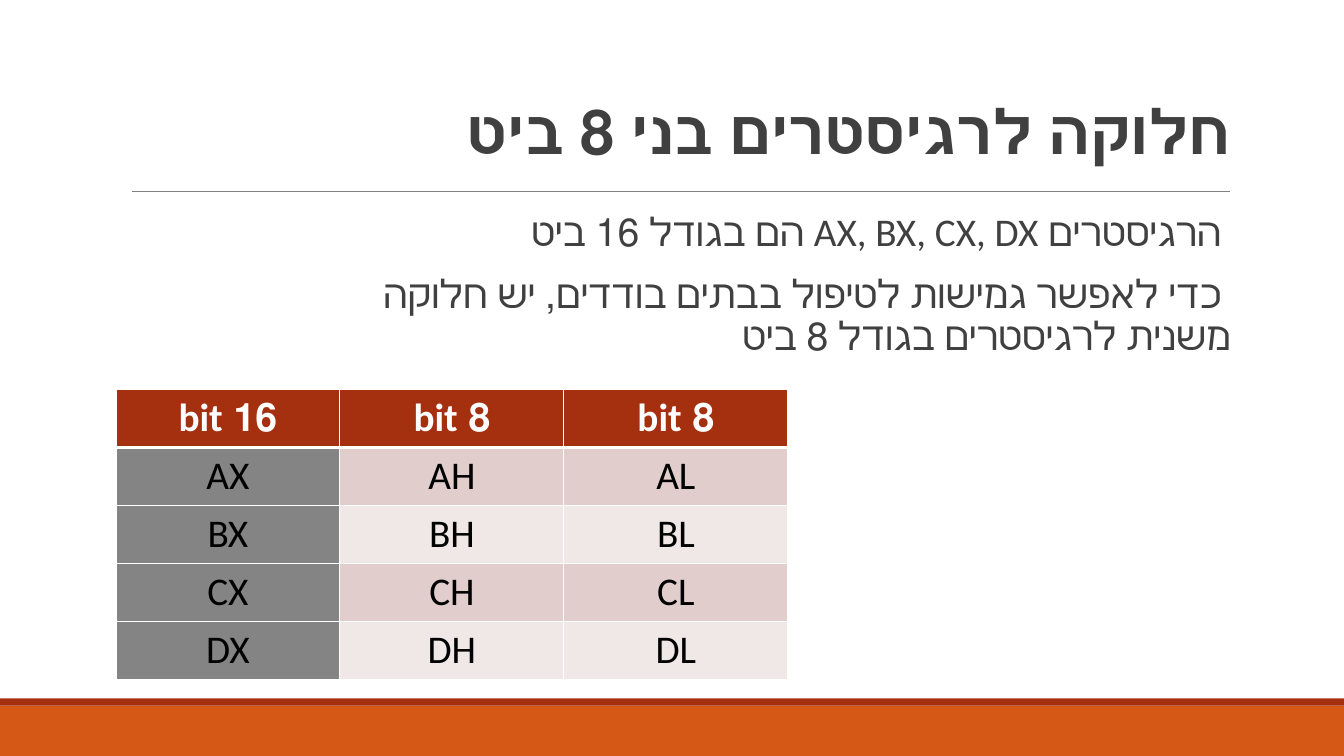
from lxml.etree import SubElement
from pptx import Presentation
from pptx.dml.color import RGBColor
from pptx.enum.shapes import MSO_CONNECTOR, MSO_SHAPE
from pptx.enum.text import MSO_ANCHOR, PP_ALIGN
from pptx.oxml.ns import qn
from pptx.util import Pt

COLORS = {
    "orange": "D55816", "red": "A5300F", "rule": "808080", "text": "404040",
    "white": "FFFFFF", "black": "000000", "gray": "848484",
    "dark": "E1CDCC", "light": "F0E8E7",
}
FONT = "Calibri"
WIDTH, HEIGHT = 960, 540
TITLE = "חלוקה לרגיסטרים בני 8 ביט"
BODY = [
    "הרגיסטרים AX, BX, CX, DX הם בגודל 16 ביט",
    "כדי לאפשר גמישות לטיפול בבתים בודדים, יש חלוקה משנית לרגיסטרים בגודל 8 ביט",
]
HEADS = ["16 bit", "8 bit", "8 bit"]
ROWS = [[letter + end for end in "XHL"] for letter in "ABCD"]


def color(name):
    return RGBColor.from_string(COLORS[name])


def add_bar(slide, top, height, fill):
    bar = slide.shapes.add_shape(
        MSO_SHAPE.RECTANGLE, Pt(0), Pt(top), Pt(WIDTH), Pt(height))
    bar.shadow.inherit = False
    bar.fill.solid()
    bar.fill.fore_color.rgb = color(fill)
    bar.line.fill.background()


def add_rule(slide, left, right, top):
    rule = slide.shapes.add_connector(
        MSO_CONNECTOR.STRAIGHT, Pt(left), Pt(top), Pt(right), Pt(top))
    rule.line.color.rgb = color("rule")
    rule.line.width = Pt(0.5)
    SubElement(rule._element.spPr, qn("a:effectLst"))


def add_frame(slide, left, top, width, height):
    box = slide.shapes.add_textbox(Pt(left), Pt(top), Pt(width), Pt(height))
    frame = box.text_frame
    frame.word_wrap = True
    return frame


def style(par, size, ink, align=PP_ALIGN.RIGHT, bold=False):
    """Format a right-to-left paragraph and its runs."""
    par.alignment = align
    par._p.get_or_add_pPr().set("rtl", "1")
    for run in par.runs:
        run.font.name = FONT
        run.font.size = Pt(size)
        run.font.bold = bold
        run.font.color.rgb = color(ink)


def add_title(slide):
    frame = add_frame(slide, 238.3, 66.2, 648, 56.9)
    frame.vertical_anchor = MSO_ANCHOR.BOTTOM
    frame.text = TITLE
    par = frame.paragraphs[0]
    style(par, 44, "text", bold=True)
    par.line_spacing = 0.85
    par.runs[0].font._element.set("spc", "-50")


def add_body(slide):
    frame = add_frame(slide, 238.3, 148.3, 648, 129.6)
    frame.margin_left = frame.margin_right = 0
    frame.text = "\n".join(BODY)
    for par in frame.paragraphs:
        style(par, 28, "text")
        par.line_spacing = 0.9
        par.space_before = Pt(12)
        par.space_after = Pt(2)
        props = par._p.get_or_add_pPr()
        props.set("marL", str(Pt(7.2)))
        props.set("indent", str(Pt(-7.2)))
        tint = SubElement(props, qn("a:buClr"))
        SubElement(tint, qn("a:srgbClr"), val=COLORS["red"])
        SubElement(props, qn("a:buChar"), char=" ")


def add_edges(cell, base):
    """Draw white cell borders; base is the width of the lower one."""
    props = cell._tc.get_or_add_tcPr()
    widths = {"lnL": 1, "lnR": 1, "lnT": 1, "lnB": base}
    for spot, (tag, width) in enumerate(widths.items()):
        edge = SubElement(props, qn("a:" + tag), w=str(Pt(width)))
        fill = SubElement(edge, qn("a:solidFill"))
        SubElement(fill, qn("a:srgbClr"), val=COLORS["white"])
        props.insert(spot, edge)


def cell_fill(row, col):
    if row == 0:
        return "red"
    if col == 0:
        return "gray"
    return "dark" if row % 2 else "light"


def add_grid(slide):
    data = [HEADS] + ROWS
    high = 41.4
    table = slide.shapes.add_table(
        len(data), len(HEADS), Pt(82.8), Pt(278.2),
        Pt(480), Pt(high * len(data))).table
    for row, texts in enumerate(data):
        table.rows[row].height = Pt(high)
        head = row == 0
        for col, text in enumerate(texts):
            cell = table.cell(row, col)
            cell.text = text
            style(cell.text_frame.paragraphs[0], 28,
                  "white" if head else "black", PP_ALIGN.CENTER, head)
            cell.fill.solid()
            cell.fill.fore_color.rgb = color(cell_fill(row, col))
            add_edges(cell, 3 if head else 1)
            if row == 1:
                cell._tc.tcPr.find(qn("a:lnT")).set("w", str(Pt(3)))


def main():
    deck = Presentation()
    deck.slide_width, deck.slide_height = Pt(WIDTH), Pt(HEIGHT)
    slide = deck.slides.add_slide(deck.slide_layouts[6])
    add_bar(slide, 504, 36, "orange")
    add_bar(slide, 498.8, 5.2, "red")
    add_rule(slide, 94.2, 878.9, 136.8)
    add_body(slide)
    add_title(slide)
    add_grid(slide)
    deck.save("out.pptx")


if __name__ == "__main__":
    main()
